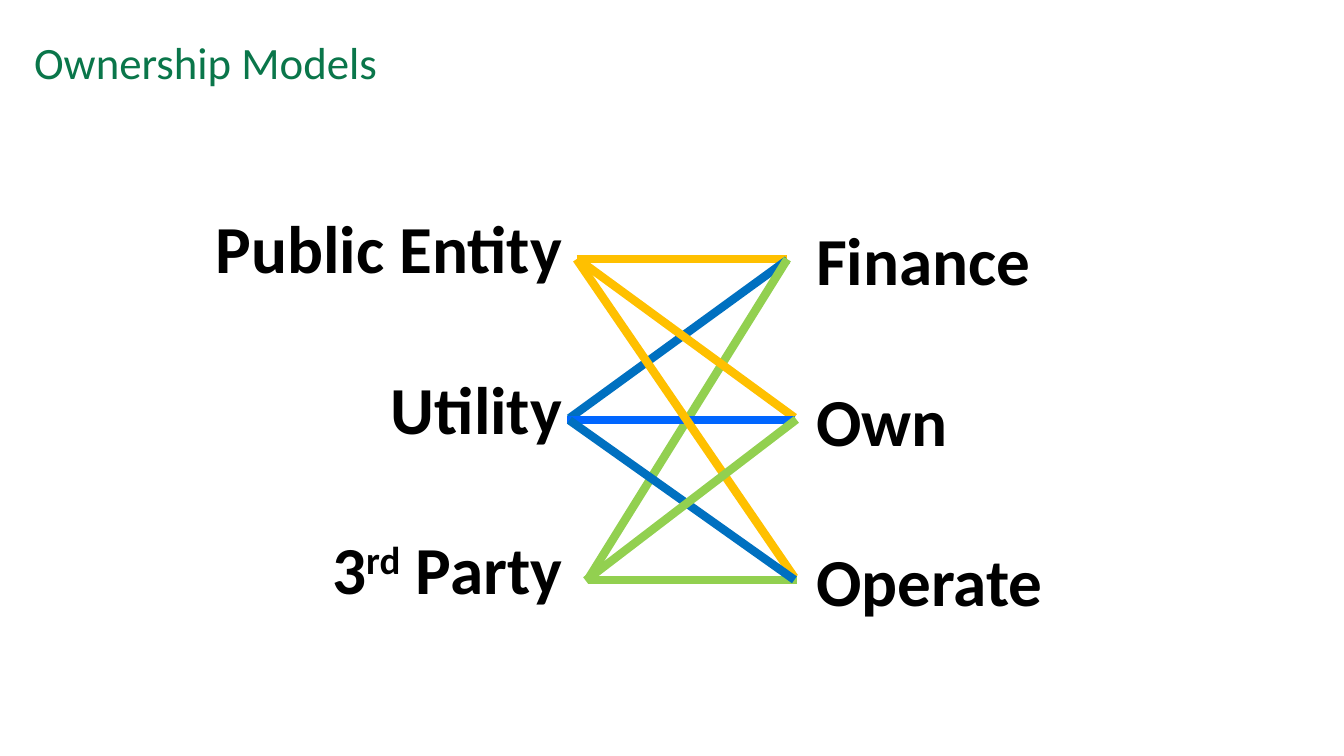
from lxml import etree
from pptx import Presentation
from pptx.dml.color import RGBColor
from pptx.enum.shapes import MSO_CONNECTOR
from pptx.enum.text import MSO_AUTO_SIZE, PP_ALIGN
from pptx.oxml.ns import qn
from pptx.util import Cm, Pt

STRAIGHT = MSO_CONNECTOR.STRAIGHT
LEFT, RIGHT = PP_ALIGN.LEFT, PP_ALIGN.RIGHT
GROW = MSO_AUTO_SIZE.SHAPE_TO_FIT_TEXT

GREEN, BLACK = "0A764A", "000000"
GOLD, BLUE, BRIGHT, LIME = "FFC000", "0070C0", "0066FF", "92D050"


def color(code):
    return RGBColor.from_string(code)


class Board:
    font = "Calibri"
    weight = Pt(6)

    def __init__(self, deck):
        self.slide = deck.slides.add_slide(deck.slide_layouts[6])

    def text(self, box, lines, size, ink, bold=False, align=LEFT, gap=0):
        frame = self.slide.shapes.add_textbox(*map(Cm, box)).text_frame
        frame.word_wrap = True
        frame.auto_size = GROW
        frame.text = "\n".join(lines)
        for row, para in enumerate(frame.paragraphs):
            para.alignment = align
            if row:
                para.space_before = Pt(gap)
            for run in para.runs:
                self.style(run, size, ink, bold)
        return frame

    def style(self, run, size, ink, bold):
        run.font.name = self.font
        run.font.size = Pt(size)
        run.font.bold = bold
        run.font.color.rgb = color(ink)

    def raised(self, para, parts, size, ink, bold):
        para.text = ""
        for part, shift in parts:
            run = para.add_run()
            run.text = part
            self.style(run, size, ink, bold)
            if shift:
                run.font._element.set("baseline", str(shift * 1000))

    def link(self, start, end, ink):
        line = self.slide.shapes.add_connector(STRAIGHT, *map(Cm, start + end))
        line.line.color.rgb = color(ink)
        line.line.width = self.weight
        etree.SubElement(line._element.spPr, qn("a:effectLst"))


def main():
    deck = Presentation()
    deck.slide_width, deck.slide_height = Cm(33.87), Cm(19.05)
    board = Board(deck)

    board.text((0.61, 0.74, 31.32, 1.63), ["Ownership Models"], 32, GREEN)
    board.text((20.32, 5.38, 6.71, 10.52), ["Finance", "Own", "Operate"],
               48, BLACK, True, gap=57)

    links = [
        ((14.53, 6.53), (19.84, 6.53), GOLD),
        ((14.35, 10.54), (19.84, 6.55), BLUE),
        ((14.81, 14.61), (19.84, 6.53), LIME),
        ((14.63, 6.58), (20.02, 10.52), GOLD),
        ((14.81, 14.61), (20.09, 14.61), LIME),
        ((14.3, 10.59), (20.04, 10.59), BRIGHT),
        ((14.53, 6.53), (20.02, 14.55), GOLD),
        ((14.35, 10.59), (20.02, 14.61), BLUE),
        ((14.76, 14.63), (20.07, 10.57), LIME),
    ]
    for start, end, ink in links:
        board.link(start, end, ink)

    owners = board.text((3.78, 5.08, 10.64, 10.52),
                        ["Public Entity", "Utility", "3rd Party"],
                        48, BLACK, True, RIGHT, 57)
    board.raised(owners.paragraphs[-1], [("3", 0), ("rd", 30), (" Party", 0)],
                 48, BLACK, True)

    deck.save("out.pptx")


if __name__ == "__main__":
    main()
